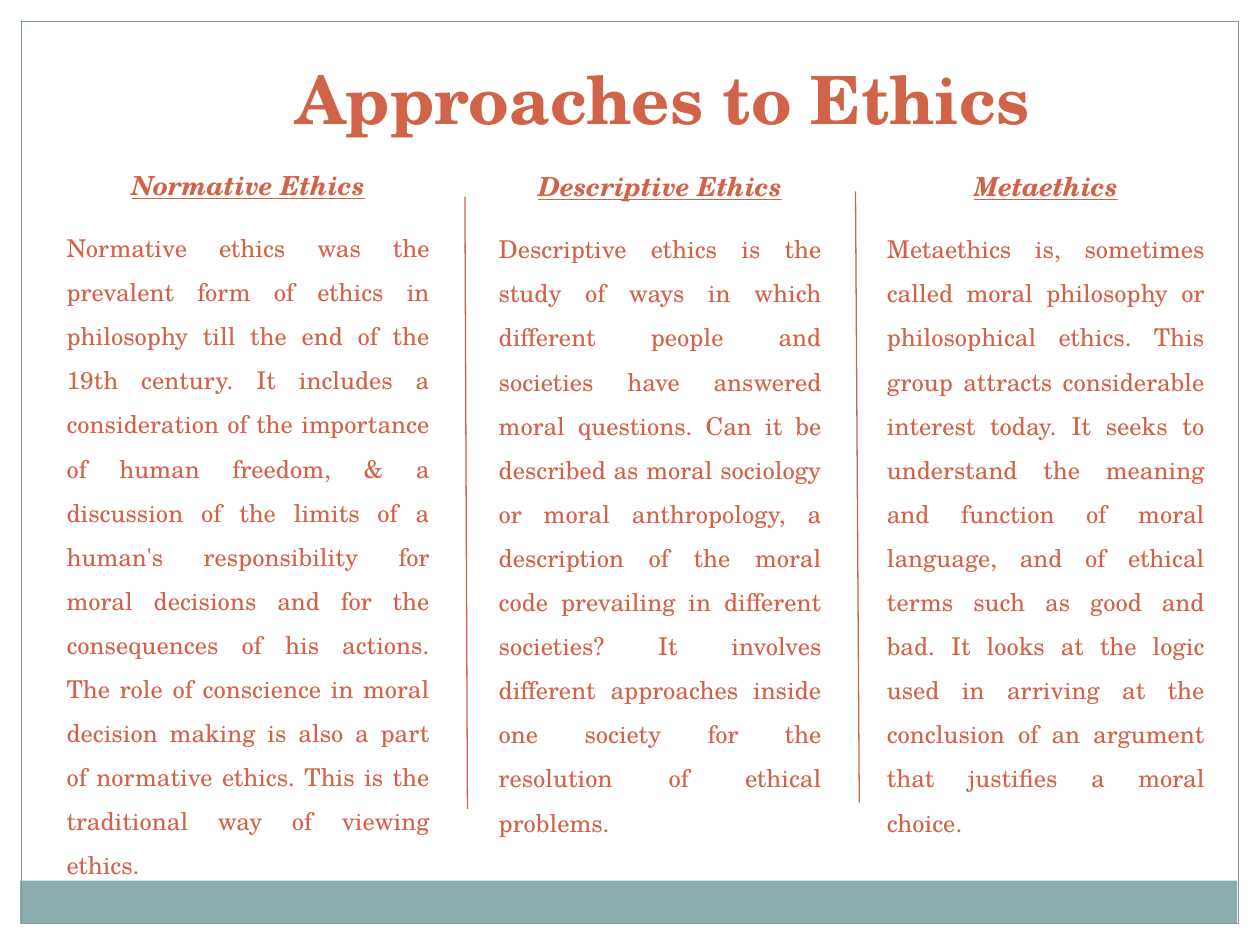
from lxml import etree
from pptx import Presentation
from pptx.dml.color import RGBColor
from pptx.enum.shapes import MSO_CONNECTOR, MSO_SHAPE
from pptx.enum.text import MSO_ANCHOR, MSO_AUTO_SIZE, PP_ALIGN
from pptx.oxml.ns import qn
from pptx.util import Inches, Pt

CENTER, JUSTIFY = PP_ALIGN.CENTER, PP_ALIGN.JUSTIFY
BOTTOM, TOP = MSO_ANCHOR.BOTTOM, MSO_ANCHOR.TOP
NO_FIT, GROW = MSO_AUTO_SIZE.NONE, MSO_AUTO_SIZE.SHAPE_TO_FIT_TEXT
RECTANGLE, STRAIGHT = MSO_SHAPE.RECTANGLE, MSO_CONNECTOR.STRAIGHT
FONT = "TeX Gyre Schola"
COLORS = {
    name: RGBColor.from_string(value)
    for name, value in {
        "paper": "FFFFFF", "band": "8CADAE", "frame": "7C999A", "text": "D16349",
    }.items()
}

deck = Presentation()
deck.slide_width, deck.slide_height = Inches(10), Inches(7.5)
COLUMN, ROW = deck.slide_width / 100, deck.slide_height / 75
slide = deck.slides.add_slide(deck.slide_layouts[6])
shapes = slide.shapes
slide.background.fill.solid()
slide.background.fill.fore_color.rgb = COLORS["paper"]


def cells(left, top, width, height):
    return [round(n * unit) for n, unit in
            ((left, COLUMN), (top, ROW), (width, COLUMN), (height, ROW))]


def add_text(area, anchor, fit, paragraphs):
    frame = shapes.add_textbox(*cells(*area)).text_frame
    frame.word_wrap, frame.auto_size, frame.vertical_anchor = True, fit, anchor
    for index, (words, size, align, bold, accent, leading, after) in enumerate(paragraphs):
        paragraph = frame.add_paragraph() if index else frame.paragraphs[0]
        paragraph.alignment, paragraph.line_spacing = align, leading
        paragraph.space_after = Pt(after)
        run = paragraph.add_run()
        run.text = words
        font = run.font
        font.name, font.size, font.bold = FONT, Pt(size), bold
        font.italic = font.underline = accent
        font.color.rgb = COLORS["text"]


EDGE = 1.7
for area, color in (
    ((0, 0, 100, EDGE), "paper"),
    ((100 - EDGE, 0, EDGE, 75), "paper"),
    ((0, 0, EDGE, 75), "paper"),
    ((1.6, 69.9, 96.6, 3.4), "band"),
):
    strip = shapes.add_shape(RECTANGLE, *cells(*area))
    strip.shadow.inherit = False
    strip.fill.solid()
    strip.fill.fore_color.rgb = COLORS[color]
    strip.line.fill.background()

border = shapes.add_shape(RECTANGLE, *cells(EDGE, EDGE, 100 - 2 * EDGE, 75 - 2 * EDGE))
border.shadow.inherit = False
border.fill.background()
border.line.color.rgb = COLORS["frame"]
border.line.width = Pt(0.75)

add_text((10.1, 3.9, 85, 7.5), BOTTOM, NO_FIT,
         [("Approaches to Ethics", 38, CENTER, True, False, 1.0, 0)])

approaches = [
    ((4.3, 11.7, 30.8, 55.7), "Normative Ethics",
     "Normative ethics was the prevalent form of ethics in philosophy till the end of "
     "the 19th century. It includes a consideration of the importance of human freedom, "
     "& a discussion of the limits of a human's responsibility for moral decisions and "
     "for the consequences of his actions. The role of conscience in moral decision "
     "making is also a part of normative ethics. This is the traditional way of viewing "
     "ethics."),
    ((38.6, 11.8, 27.6, 52.1), "Descriptive Ethics",
     "Descriptive ethics is the study of ways in which different people and societies "
     "have answered moral questions. Can it be described as moral sociology or moral "
     "anthropology, a description of the moral code prevailing in different societies? "
     "It involves different approaches inside one society for the resolution of ethical "
     "problems."),
    ((69.4, 11.8, 27.2, 48.6), "Metaethics",
     "Metaethics is, sometimes called moral philosophy or philosophical ethics. This "
     "group attracts considerable interest today. It seeks to understand the meaning and "
     "function of moral language, and of ethical terms such as good and bad. It looks at "
     "the logic used in arriving at the conclusion of an argument that justifies a moral "
     "choice."),
]
for area, heading, description in approaches:
    add_text(area, TOP, GROW, [
        (heading, 15, CENTER, True, True, 1.5, 10),
        (description, 14, JUSTIFY, False, False, 1.5, 10),
    ])

for ends in ((36.9, 15.6, 37.1, 64.2), (67.9, 15.2, 68.2, 63.7)):
    divider = shapes.add_connector(STRAIGHT, *cells(*ends))
    divider.line.color.rgb = COLORS["text"]
    divider.line.width = Pt(0.75)
    etree.SubElement(divider._element.spPr, qn("a:effectLst"))

deck.save("out.pptx")
